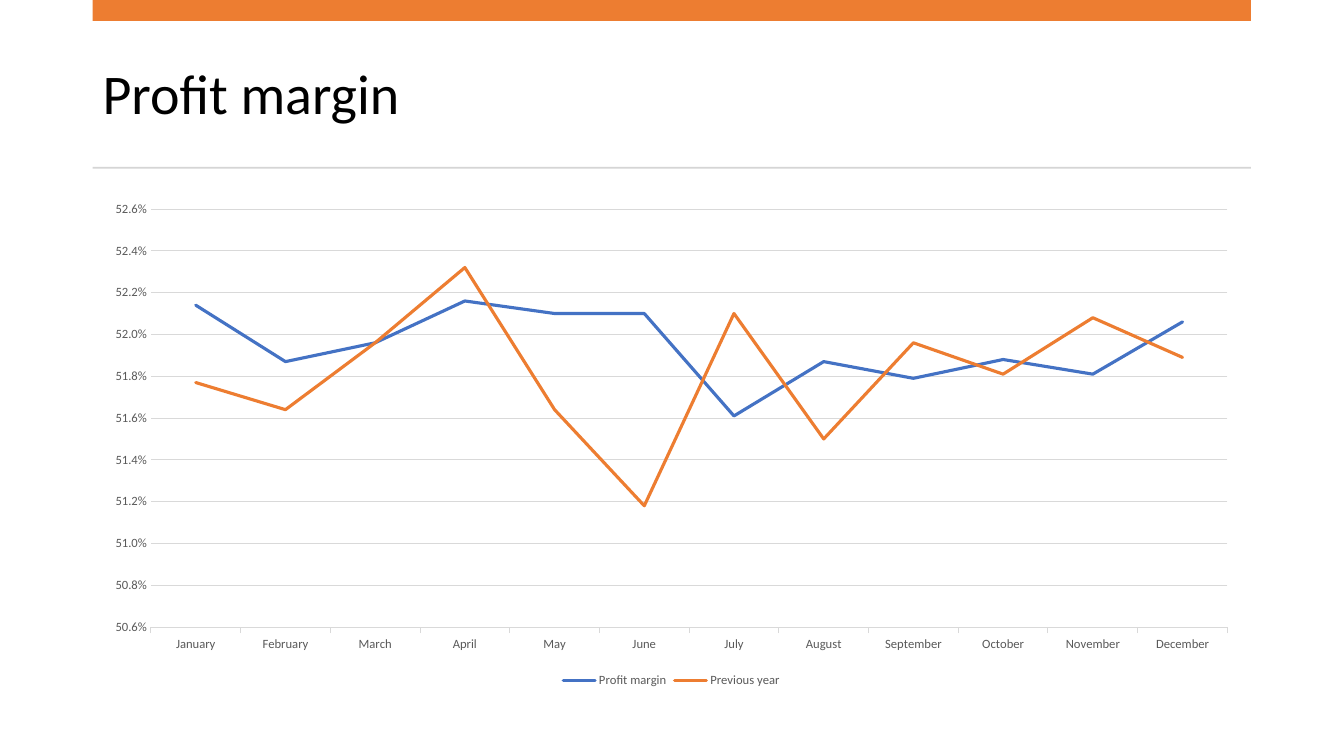
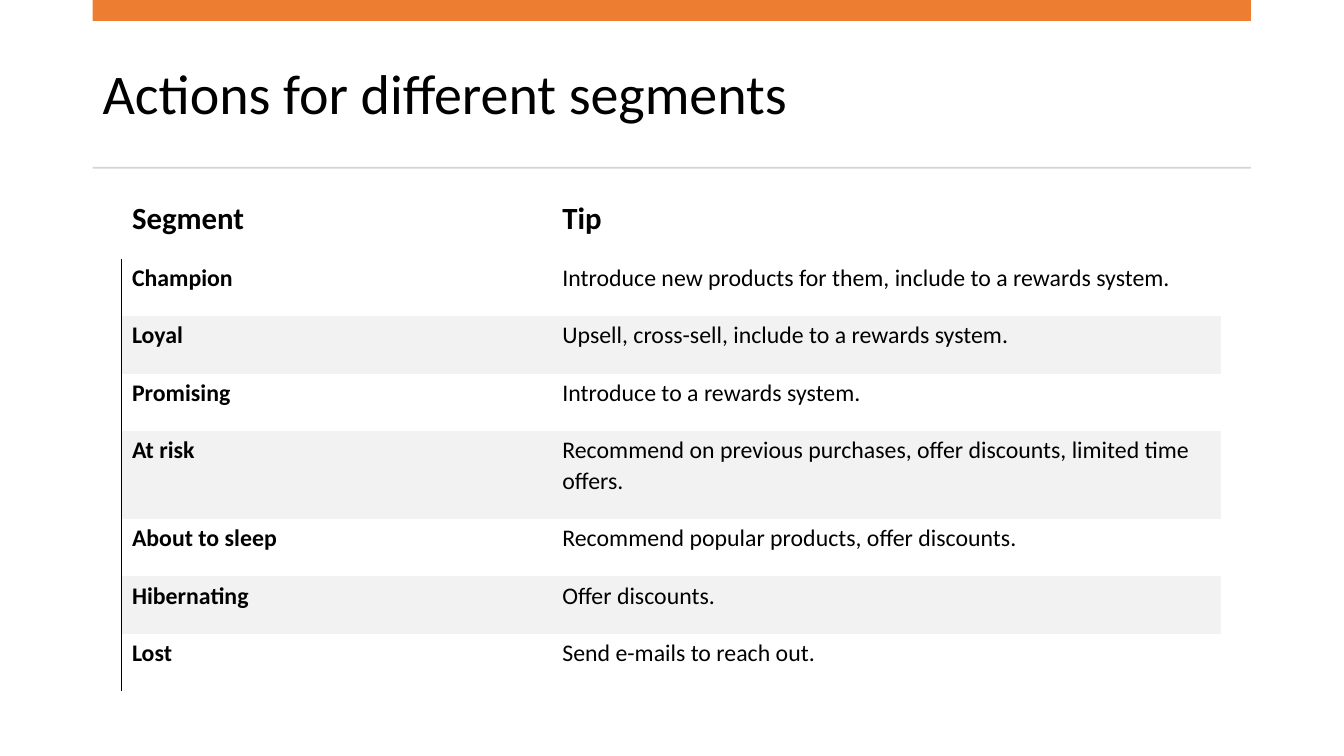
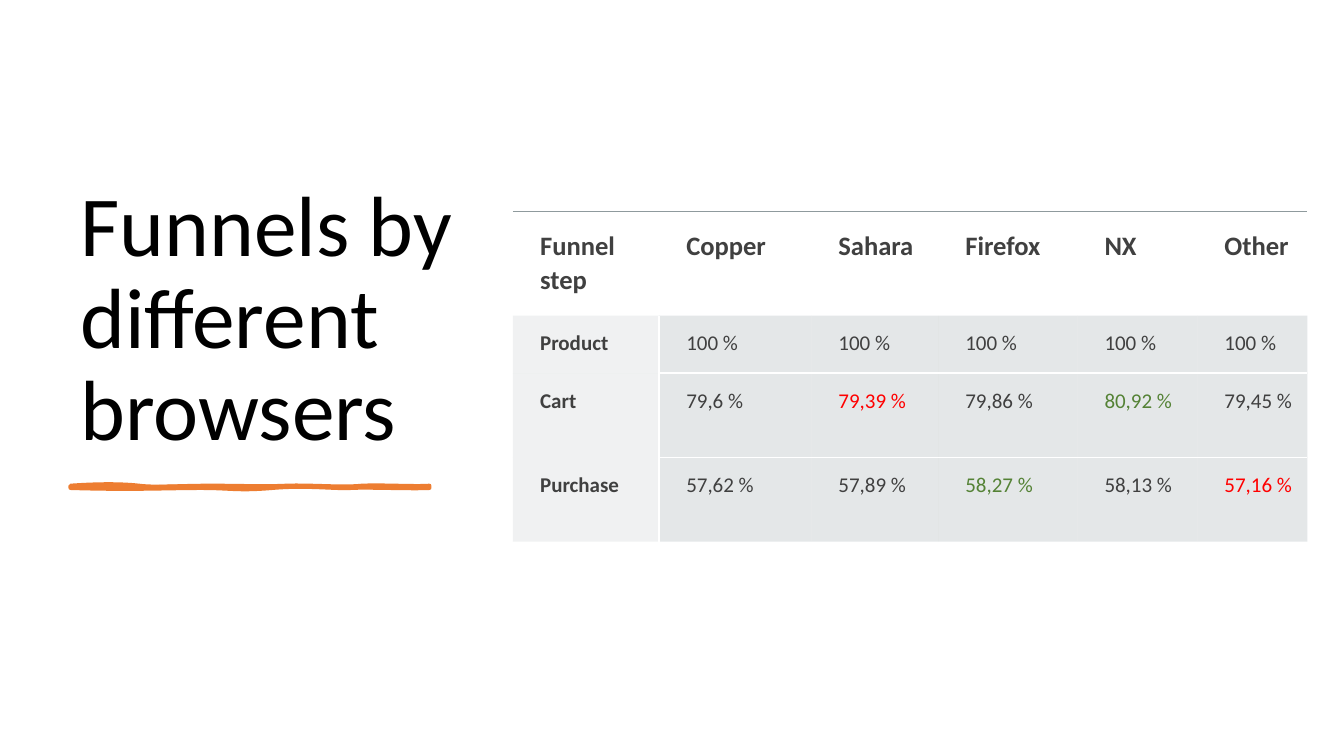
from dataclasses import dataclass, field
from typing import Optional

from lxml.etree import SubElement
from pptx import Presentation
from pptx.chart.data import CategoryChartData
from pptx.dml.color import RGBColor
from pptx.enum.chart import XL_CHART_TYPE, XL_LEGEND_POSITION, XL_MARKER_STYLE, XL_TICK_MARK
from pptx.enum.shapes import MSO_SHAPE
from pptx.enum.text import MSO_ANCHOR
from pptx.oxml.ns import qn
from pptx.util import Pt

FONT = "Calibri"
COLORS = {
    "black": "000000",
    "white": "FFFFFF",
    "accent": "ED7D31",
    "blue": "4472C4",
    "rule": "D5D5D5",
    "grid": "D9D9D9",
    "chart_text": "595959",
    "band": "F2F2F2",
    "table_text": "404040",
    "table_fill": "B4BCBE",
    "table_edge": "8F9A9D",
    "worst": "FF0000",
    "best": "548235",
}
PLAIN_TABLE_STYLE = "{2D5ABB26-0587-4C30-8999-92F81FD0307C}"


@dataclass(frozen=True)
class Box:
    left: float
    top: float
    width: float
    height: float

    def lengths(self) -> tuple:
        return Pt(self.left), Pt(self.top), Pt(self.width), Pt(self.height)


@dataclass(frozen=True)
class Border:
    color: str
    width: float
    opacity: int = 100


@dataclass(frozen=True)
class CellStyle:
    size: float
    color: str
    margins: tuple
    bold: bool = False
    fill: Optional[str] = None
    opacity: int = 100
    anchor: MSO_ANCHOR = MSO_ANCHOR.TOP
    borders: dict = field(default_factory=dict)


CONTENT_LEFT, CONTENT_WIDTH = 66.2, 827.3
TITLE_BOX = Box(CONTENT_LEFT, 26.6, CONTENT_WIDTH, 85)
TOP_BAR = Box(CONTENT_LEFT, 0, CONTENT_WIDTH, 15)
TITLE_RULE = Box(CONTENT_LEFT, 119.1, CONTENT_WIDTH, 1.44)
CHART_BOX = Box(66, 136.9, CONTENT_WIDTH, 357.2)
SIDE_TITLE_BOX = Box(50.4, 50.2, 281.5, 281.5)

MONTHS = ["January", "February", "March", "April", "May", "June", "July",
          "August", "September", "October", "November", "December"]
MARGIN_PERCENTAGES = [
    ("Profit margin", "blue",
     [52.14, 51.87, 51.96, 52.16, 52.1, 52.1, 51.61, 51.87, 51.79, 51.88, 51.81, 52.06]),
    ("Previous year", "accent",
     [51.77, 51.64, 51.96, 52.32, 51.64, 51.18, 52.1, 51.5, 51.96, 51.81, 52.08, 51.89]),
]

SEGMENT_ROWS = [
    ("Segment", "Tip"),
    ("Champion", "Introduce new products for them, include to a rewards system."),
    ("Loyal", "Upsell, cross-sell, include to a rewards system."),
    ("Promising", "Introduce to a rewards system."),
    ("At risk", "Recommend on previous purchases, offer discounts, limited time offers."),
    ("About to sleep", "Recommend popular products, offer discounts."),
    ("Hibernating", "Offer discounts."),
    ("Lost", "Send e-mails to reach out."),
]

FUNNEL_ROWS = [
    ("Funnel step", "Copper", "Sahara", "Firefox", "NX", "Other"),
    ("Product",) + ("100 %",) * 5,
    ("Cart", "79,6 %", "79,39 %", "79,86 %", "80,92 %", "79,45 %"),
    ("Purchase", "57,62 %", "57,89 %", "58,27 %", "58,13 %", "57,16 %"),
]
FUNNEL_HIGHLIGHTS = {(2, 2): "worst", (2, 4): "best", (3, 3): "best", (3, 5): "worst"}

BRUSH_START = (50.4, 347)
BRUSH_OUTLINE = [
    (69.8, 345.6, 87.1, 345.6, 99.4, 347),
    (111.6, 348.5, 127.4, 347, 150.5, 347),
    (173.5, 347, 187.2, 347.8, 204.5, 347),
    (221.8, 346.3, 244.1, 348.5, 258.5, 347),
    (272.9, 346.3, 296.6, 347.8, 306.7, 347),
    (306.7, 347.8, 306.7, 348.5, 306.7, 348.5),
    (293.8, 349.2, 262.1, 347.8, 250.6, 348.5),
    (239, 349.2, 218.9, 346.3, 194.4, 348.5),
    (169.2, 350.6, 166.3, 348.5, 143.3, 348.5),
    (119.5, 348.5, 95, 349.9, 50.4, 348.5),
    (50.4, 348.5, 50.4, 347.8, 50.4, 347),
]
BRUSH_FILL = [
    (73.4, 348.5, 79.2, 347.8, 99.4, 347),
    (119.5, 346.3, 121.7, 345.6, 143.3, 347),
    (164.2, 348.5, 187.9, 347.8, 199.4, 347),
    (211, 346.3, 235.4, 349.2, 247.7, 347),
    (260.6, 345.6, 285.8, 349.9, 306.7, 347),
    (306.7, 347.8, 306.7, 347.8, 306.7, 348.5),
    (296.6, 348.5, 267.8, 350.6, 255.6, 348.5),
    (243.4, 347, 222.5, 348.5, 199.4, 348.5),
    (175.7, 348.5, 172.8, 347.8, 155.5, 348.5),
    (139, 349.2, 128.9, 347.8, 104.4, 348.5),
    (79.9, 349.2, 66.2, 348.5, 50.4, 348.5),
    (50.4, 347.8, 50.4, 347.8, 50.4, 347),
]


def rgb(name: str) -> RGBColor:
    return RGBColor.from_string(COLORS[name])


def add_blank_slide(presentation):
    return presentation.slides.add_slide(presentation.slide_layouts[6])


def format_text(text_frame, size: float, color: str, spacing: float, bold: bool = False) -> None:
    for paragraph in text_frame.paragraphs:
        paragraph.line_spacing = spacing
        for run in paragraph.runs:
            run.font.name = FONT
            run.font.size = Pt(size)
            run.font.bold = bold
            run.font.color.rgb = rgb(color)


def add_title(slide, text: str, box: Box, size: float, anchor: MSO_ANCHOR) -> None:
    text_frame = slide.shapes.add_textbox(*box.lengths()).text_frame
    text_frame.word_wrap = True
    text_frame.vertical_anchor = anchor
    text_frame.text = text
    format_text(text_frame, size, "black", 0.9)


def add_bar(slide, box: Box, color: str) -> None:
    shape = slide.shapes.add_shape(MSO_SHAPE.RECTANGLE, *box.lengths())
    shape.shadow.inherit = False
    shape.fill.solid()
    shape.fill.fore_color.rgb = rgb(color)
    shape.line.fill.background()


def add_content_slide(presentation, title: str):
    slide = add_blank_slide(presentation)
    add_title(slide, title, TITLE_BOX, 40, MSO_ANCHOR.MIDDLE)
    add_bar(slide, TOP_BAR, "accent")
    add_bar(slide, TITLE_RULE, "rule")
    return slide


def add_opacity(solid_fill, opacity: int) -> None:
    if opacity < 100:
        color = solid_fill.find(qn("a:srgbClr"))
        SubElement(color, qn("a:alpha"), val=str(opacity * 1000))


def add_border(cell_properties, side: str, border: Optional[Border]) -> None:
    line = SubElement(cell_properties, qn(f"a:ln{side}"))
    if border is None:
        SubElement(line, qn("a:noFill"))
        return
    line.set("w", str(Pt(border.width)))
    solid_fill = SubElement(line, qn("a:solidFill"))
    SubElement(solid_fill, qn("a:srgbClr"), val=COLORS[border.color])
    add_opacity(solid_fill, border.opacity)


def style_cell(cell, style: CellStyle) -> None:
    cell.margin_left, cell.margin_top, cell.margin_right, cell.margin_bottom = map(Pt, style.margins)
    cell.vertical_anchor = style.anchor
    format_text(cell.text_frame, style.size, style.color, 1.07, style.bold)
    cell_properties = cell._tc.get_or_add_tcPr()
    for side in "LRTB":
        add_border(cell_properties, side, style.borders.get(side))
    if style.fill is None:
        cell.fill.background()
    else:
        cell.fill.solid()
        cell.fill.fore_color.rgb = rgb(style.fill)
        add_opacity(cell_properties.find(qn("a:solidFill")), style.opacity)


def add_styled_table(slide, left: float, top: float, widths: list, heights: list,
                     rows: list, choose_style) -> None:
    box = Box(left, top, sum(widths), sum(heights))
    table = slide.shapes.add_table(len(rows), len(widths), *box.lengths()).table
    table._tbl.tblPr.find(qn("a:tableStyleId")).text = PLAIN_TABLE_STYLE
    for column, width in zip(table.columns, widths):
        column.width = Pt(width)
    for row, height in zip(table.rows, heights):
        row.height = Pt(height)
    for row_index, row_texts in enumerate(rows):
        for column_index, text in enumerate(row_texts):
            cell = table.cell(row_index, column_index)
            cell.text_frame.text = text
            style_cell(cell, choose_style(row_index, column_index))


def segment_style(row: int, column: int) -> CellStyle:
    margins = (7.2, 2.2, 7.2, 15.1)
    if row == 0:
        return CellStyle(22, "black", margins, bold=True, anchor=MSO_ANCHOR.BOTTOM)
    return CellStyle(
        17, "black", margins,
        bold=column == 0,
        fill="band" if row % 2 == 0 else None,
        borders={"L": Border("black", 0.75)} if column == 0 else {},
    )


def funnel_style(row: int, column: int) -> CellStyle:
    if row == 0:
        return CellStyle(19, "table_text", (19.4, 11.7, 11.5, 11.5), bold=True,
                         borders={"T": Border("table_edge", 0.75, 60)})
    margins = (19.4, 9.7, 9.7, 9.7)
    gap = Border("white", 1.5)
    if column == 0:
        return CellStyle(15, "table_text", margins, bold=True, fill="table_fill",
                         opacity=20, borders={"R": gap})
    sides = {"L": column == 1, "T": row > 1, "B": row < len(FUNNEL_ROWS) - 1}
    return CellStyle(
        15, FUNNEL_HIGHLIGHTS.get((row, column), "table_text"), margins,
        fill="table_fill", opacity=35,
        borders={side: gap for side, shown in sides.items() if shown},
    )


def add_margin_chart(slide) -> None:
    chart_data = CategoryChartData(number_format="0.0%")
    chart_data.categories = MONTHS
    for name, _, percentages in MARGIN_PERCENTAGES:
        chart_data.add_series(name, [round(value / 100, 4) for value in percentages])
    chart = slide.shapes.add_chart(XL_CHART_TYPE.LINE, *CHART_BOX.lengths(), chart_data).chart
    chart.has_title = False
    chart.has_legend = True
    chart.legend.position = XL_LEGEND_POSITION.BOTTOM
    chart.legend.include_in_layout = False
    chart.plots[0].vary_by_categories = False

    value_axis, category_axis = chart.value_axis, chart.category_axis
    value_axis.minimum_scale = 0.506
    value_axis.maximum_scale = 0.526
    value_axis.major_unit = 0.002
    value_axis.major_tick_mark = XL_TICK_MARK.NONE
    value_axis.tick_labels.number_format = "0.0%"
    value_axis.tick_labels.number_format_is_linked = False
    value_axis.format.line.fill.background()
    category_axis.major_tick_mark = XL_TICK_MARK.OUTSIDE
    for line in (value_axis.major_gridlines.format.line, category_axis.format.line):
        line.color.rgb = rgb("grid")
        line.width = Pt(0.75)
    for font in (chart.font, chart.legend.font, value_axis.tick_labels.font, category_axis.tick_labels.font):
        font.name = FONT
        font.size = Pt(9)
        font.color.rgb = rgb("chart_text")

    for series, (_, color, _) in zip(chart.plots[0].series, MARGIN_PERCENTAGES):
        series.smooth = False
        series.marker.style = XL_MARKER_STYLE.NONE
        series.format.line.color.rgb = rgb(color)
        series.format.line.width = Pt(2.25)
        series._element.spPr.find(qn("a:ln")).set("cap", "rnd")


def add_curves(outline_list, shape, curves: list, **visibility: str) -> None:
    outline = SubElement(outline_list, qn("a:path"), w=str(shape.width), h=str(shape.height), **visibility)

    def add_points(tag: str, coordinates: tuple) -> None:
        segment = SubElement(outline, qn(tag))
        for x, y in zip(coordinates[::2], coordinates[1::2]):
            SubElement(segment, qn("a:pt"), x=str(Pt(x) - shape.left), y=str(Pt(y) - shape.top))

    add_points("a:moveTo", BRUSH_START)
    for curve in curves:
        add_points("a:cubicBezTo", curve)
    SubElement(outline, qn("a:close"))


def add_brush_stroke(slide) -> None:
    builder = slide.shapes.build_freeform(*map(Pt, BRUSH_START))
    builder.add_line_segments([(Pt(curve[4]), Pt(curve[5])) for curve in BRUSH_OUTLINE])
    shape = builder.convert_to_shape()
    shape.shadow.inherit = False
    shape.fill.solid()
    shape.fill.fore_color.rgb = rgb("accent")
    shape.line.color.rgb = rgb("accent")
    shape.line.width = Pt(3)
    outline_list = shape._element.spPr.find(qn("a:custGeom")).find(qn("a:pathLst"))
    for straight_outline in list(outline_list):
        outline_list.remove(straight_outline)
    add_curves(outline_list, shape, BRUSH_OUTLINE, fill="none")
    add_curves(outline_list, shape, BRUSH_FILL, stroke="0")


def main() -> None:
    presentation = Presentation()
    presentation.slide_width, presentation.slide_height = Pt(960), Pt(540)

    margin_slide = add_content_slide(presentation, "Profit margin")
    add_margin_chart(margin_slide)

    segment_slide = add_content_slide(presentation, "Actions for different segments")
    segment_heights = [47.6] + [41.1] * 3 + [62.6] + [41.1] * 3
    add_styled_table(segment_slide, 87.1, 137.1, [307.4, 477.4], segment_heights,
                     SEGMENT_ROWS, segment_style)

    funnel_slide = add_blank_slide(presentation)
    add_title(funnel_slide, "Funnels by different browsers", SIDE_TITLE_BOX, 61, MSO_ANCHOR.BOTTOM)
    add_brush_stroke(funnel_slide)
    add_styled_table(funnel_slide, 366.4, 151.2, [104.4, 108.7, 90.7, 99.4, 85.7, 78.7],
                     [74.2, 41.2, 60.2, 60.2], FUNNEL_ROWS, funnel_style)

    presentation.save("out.pptx")


if __name__ == "__main__":
    main()
